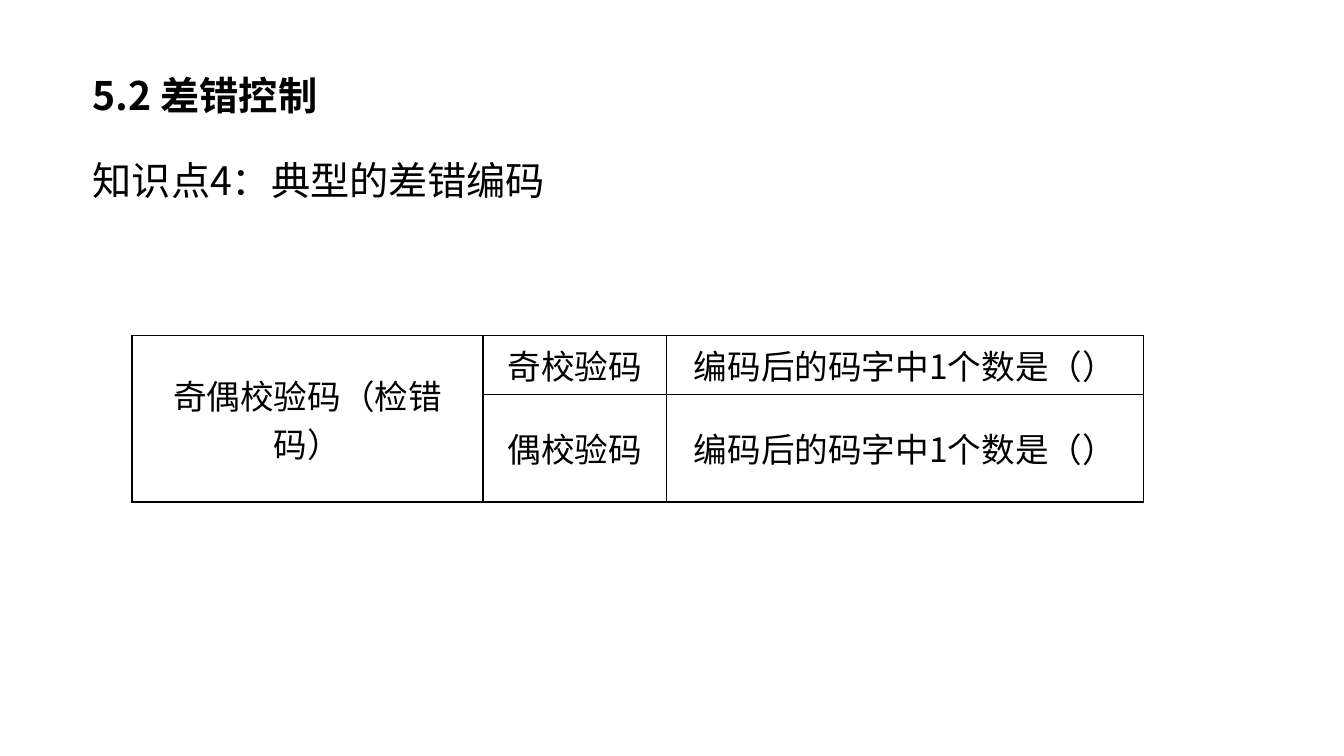
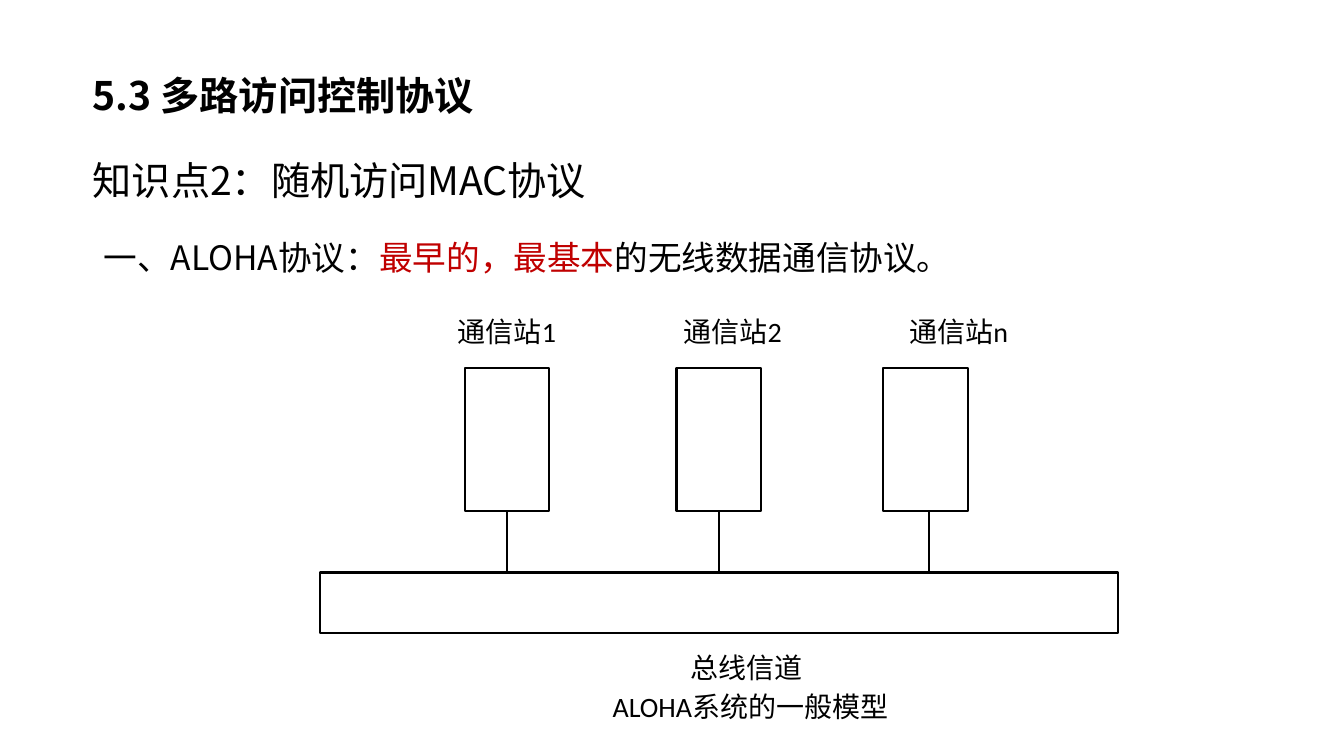
from lxml import etree
from pptx import Presentation
from pptx import util as u
from pptx.dml.color import RGBColor
from pptx.enum import shapes, text
from pptx.oxml.ns import qn

PX = 9144  # EMU per px, 100 px to the inch
COLORS = {"ink": "000000", "accent": "C00000"}
SANS, LATIN = "Noto Sans CJK SC", "Calibri"
CENTER = text.PP_ALIGN.CENTER
MIDDLE = text.MSO_ANCHOR.MIDDLE


def px(*lengths):
    return [u.Emu(n * PX) for n in lengths]


def rgb(name):
    return RGBColor.from_string(COLORS[name])


def add_run(p, words, size, font=SANS, color="ink", bold=False):
    r = p.add_run()
    r.text = words
    r.font.size, r.font.bold, r.font.name = u.Pt(size), bold, font
    r.font.color.rgb = rgb(color)
    east_asian = etree.SubElement(r.font._element, qn("a:ea"))
    east_asian.set("typeface", font)


def format_frame(tf, anchor=text.MSO_ANCHOR.TOP, side=10, top=5, wrap=True):
    tf.word_wrap, tf.vertical_anchor = wrap, anchor
    tf.auto_size = text.MSO_AUTO_SIZE.NONE
    tf.margin_left, tf.margin_right, tf.margin_top, tf.margin_bottom = px(side, side, top, top)
    return tf.paragraphs[0]


def add_text(s, box, runs, size, font=SANS, align=None, spacing=None, **frame):
    p = format_frame(s.shapes.add_textbox(*px(*box)).text_frame, **frame)
    p.alignment, p.line_spacing = align, spacing
    for words, color in runs:
        add_run(p, words, size, font, color)


def outline(line):
    line.color.rgb = rgb("ink")
    line.width = u.Pt(1.5)


def add_box(s, box):
    sp = s.shapes.add_shape(shapes.MSO_SHAPE.RECTANGLE, *px(*box))
    sp.shadow.inherit = False
    sp.fill.background()
    outline(sp.line)


def add_wire(s, x, top, bottom):
    wire = s.shapes.add_connector(shapes.MSO_CONNECTOR.STRAIGHT, *px(x, top, x, bottom))
    outline(wire.line)
    etree.SubElement(wire._element.spPr, qn("a:effectLst"))


def add_topic_slide(prs, title, topic):
    """Title-only slide with a bold section title and a topic line."""
    s = prs.slides.add_slide(prs.slide_layouts[5])
    sp = s.shapes.title
    sp.left, sp.top, sp.width, sp.height = px(80, 65, 965, 59)
    p = format_frame(sp.text_frame, side=12, top=6)
    p.alignment = text.PP_ALIGN.LEFT
    add_run(p, title, 28, bold=True)
    add_text(s, (80, 115, 1216, 104), [(topic, "ink")], 28,
             spacing=1.5, anchor=MIDDLE, side=12, top=6)
    return s


def format_cell(cell, words):
    cell.fill.background()
    cell.vertical_anchor = MIDDLE
    if words:
        p = cell.text_frame.paragraphs[0]
        p.alignment = CENTER
        add_run(p, words, 24)
    # Borders come before the fill in the cell properties
    tc_pr = cell._tc.get_or_add_tcPr()
    for i, side in enumerate(("lnL", "lnR", "lnT", "lnB")):
        ln = etree.Element(qn("a:" + side), w=str(u.Pt(1)))
        fill = etree.SubElement(ln, qn("a:solidFill"))
        etree.SubElement(fill, qn("a:srgbClr"), val=COLORS["ink"])
        tc_pr.insert(i, ln)


def add_parity_table(s, left, top):
    widths, heights = (348, 182, 473), (50, 42)
    rule = "编码后的码字中1个数是（）"
    rows = (("奇偶校验码（检错码）", "奇校验码", rule), ("", "偶校验码", rule))
    table = s.shapes.add_table(2, 3, *px(left, top, sum(widths), sum(heights))).table
    table.first_row = table.horz_banding = False
    for col, width in zip(table.columns, px(*widths)):
        col.width = width
    for row, height in zip(table.rows, px(*heights)):
        row.height = height
    for i, row in enumerate(rows):
        for j, words in enumerate(row):
            format_cell(table.cell(i, j), words)
    table.cell(0, 0).merge(table.cell(1, 0))


def add_bus_model(s, left, top):
    """Stations wired to a shared bus, with labels and caption."""
    box_top, box_h, bus_top = top + 58, 142, top + 261
    stations = (("通信站1", 144, 186), ("通信站2", 354, 396), ("通信站n", 559, 604))
    for i, (name, box_x, wire_x) in enumerate(stations):
        add_text(s, (left + 127 + 224 * i, top, 140, 44), [(name, "ink")], 20, LATIN, wrap=False)
        add_box(s, (left + box_x, box_top, 84, box_h))
        add_wire(s, left + wire_x, box_top + box_h, bus_top)
    add_box(s, (left, bus_top, 792, 60))
    add_text(s, (left + 358, top + 333, 201, 44), [("总线信道", "ink")], 20, LATIN)
    add_text(s, (left + 111, top + 372, 633, 44), [("ALOHA系统的一般模型", "ink")],
             20, LATIN, CENTER)


def main():
    prs = Presentation()
    prs.slide_width, prs.slide_height = px(1333, 750)

    # Error coding
    s = add_topic_slide(prs, "5.2 差错控制", "知识点4：典型的差错编码")
    add_parity_table(s, 131, 333)

    # Random access
    s = add_topic_slide(prs, "5.3 多路访问控制协议", "知识点2：随机访问MAC协议")
    add_text(s, (93, 219, 1094, 57),
             [("一、ALOHA协议：", "ink"), ("最早的，最基本", "accent"),
              ("的无线数据通信协议。", "ink")], 24, spacing=u.Pt(37))
    add_bus_model(s, 317, 307)

    prs.save("out.pptx")


if __name__ == "__main__":
    main()
